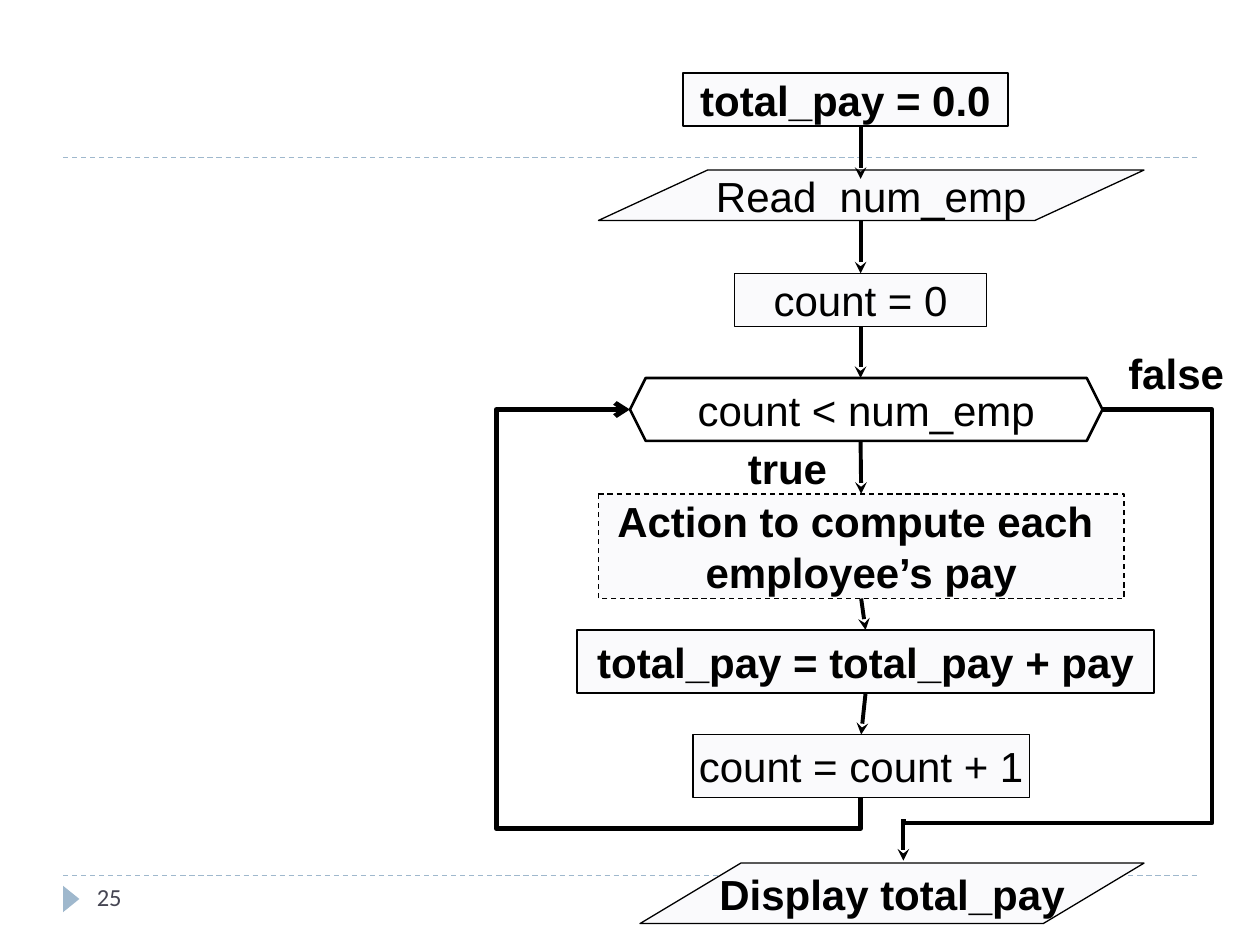
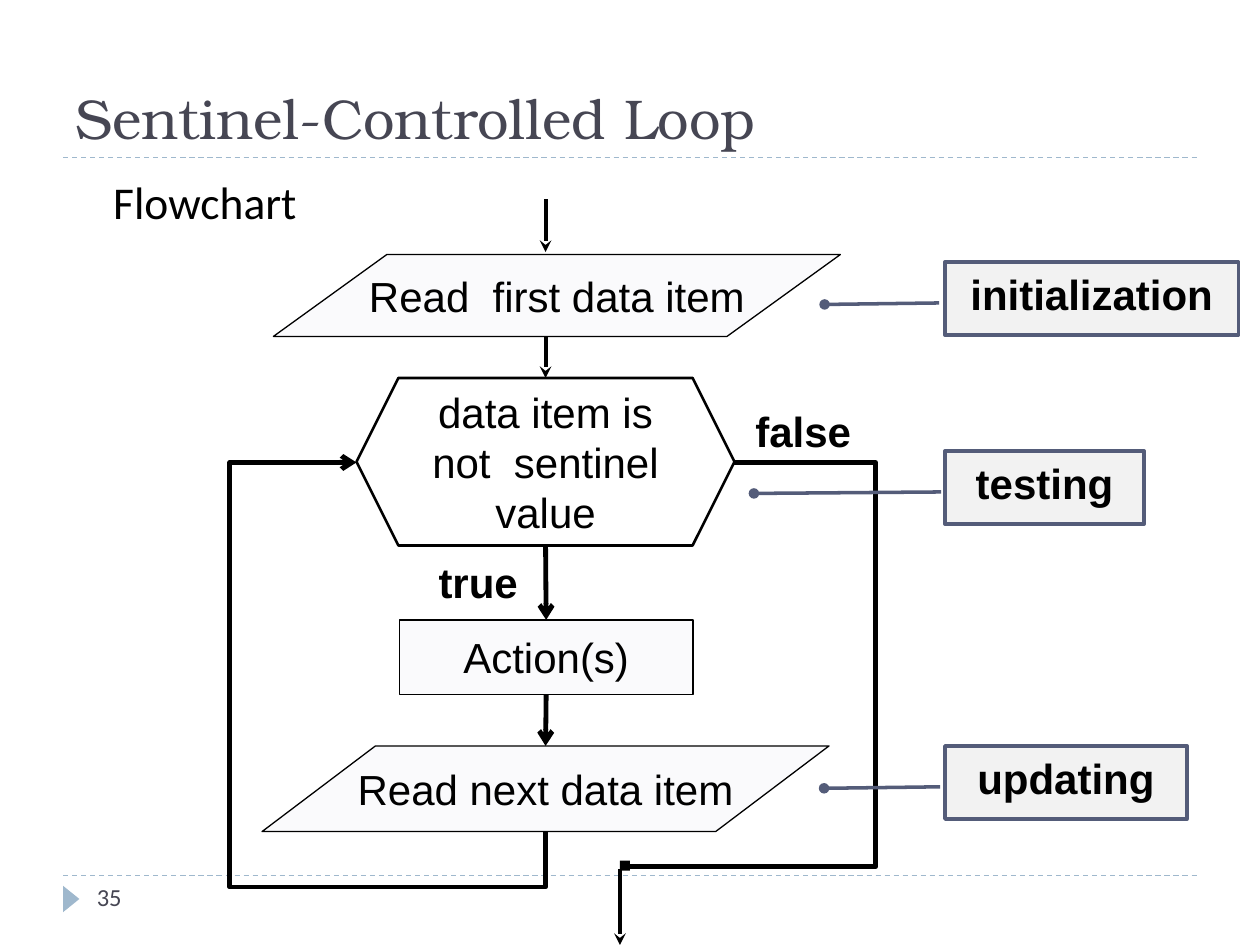
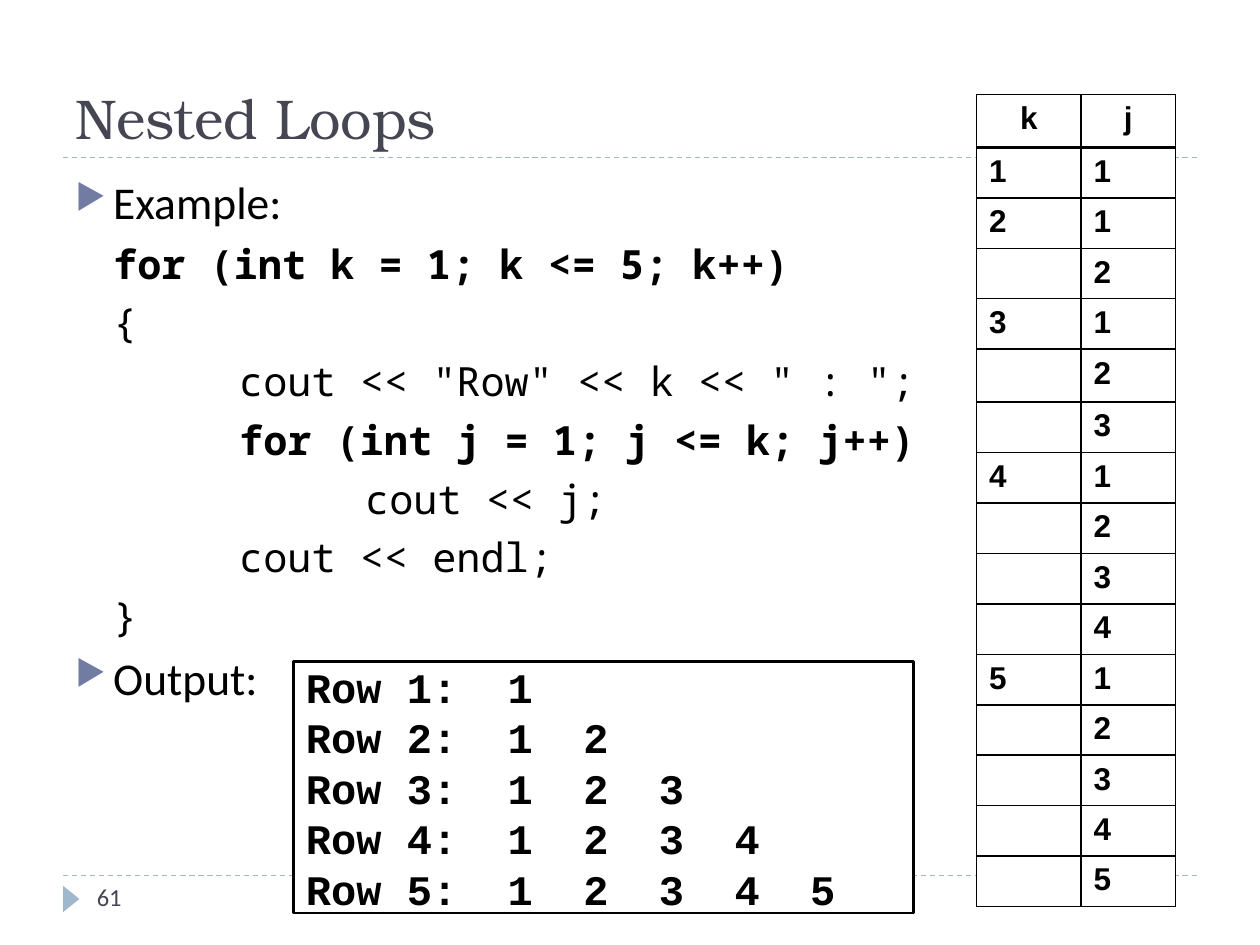
from lxml import etree
from pptx import Presentation
from pptx.dml.color import RGBColor
from pptx.enum.dml import MSO_LINE
from pptx.enum.shapes import MSO_CONNECTOR as CONN, MSO_SHAPE as SHAPE
from pptx.enum.text import MSO_ANCHOR as ANCHOR, PP_ALIGN as ALIGN
from pptx.oxml.ns import qn
from pptx.util import Inches, Pt

COLORS = {
    "ink": "000000", "title": "464653", "rule": "9FB8CD", "bullet": "727CA3",
    "box": "FAFAFC", "note": "F2F2F2", "note_line": "545C79", "white": "FFFFFF",
}
SANS, BODY, MONO = "Arial", "Calibri", "Noto Sans Mono"
TITLE_ONLY, BLANK = 5, 6


def rgb(name):
    return RGBColor.from_string(COLORS[name])


def add_run(p, text, size, font, color="ink", bold=False):
    r = p.add_run()
    r.text = text
    r.font.size = Pt(size)
    r.font.name = font
    r.font.bold = bold
    r.font.color.rgb = rgb(color)


def write_lines(tf, lines, size, font, bold=False, align=ALIGN.LEFT):
    for i, line in enumerate(lines):
        p = tf.add_paragraph() if i else tf.paragraphs[0]
        p.alignment = align
        add_run(p, line, size, font, bold=bold)


def set_line(line, color, width, dash=False):
    line.color.rgb = rgb(color)
    line.width = Pt(width)
    if dash:
        line.dash_style = MSO_LINE.DASH


def add_tail(sp, head):
    ln = sp.element.spPr.find(qn("a:ln"))
    etree.SubElement(ln, qn("a:tailEnd"), type=head)


def add_shape(s, kind, at, fill=None, line=None, width=0.75, dash=False):
    sp = s.shapes.add_shape(kind, *map(Inches, at))
    sp.shadow.inherit = False
    if fill:
        sp.fill.solid()
        sp.fill.fore_color.rgb = rgb(fill)
    else:
        sp.fill.background()
    if line:
        set_line(sp.line, line, width, dash)
    else:
        sp.line.fill.background()
    return sp


def add_step(s, at, *lines, kind=SHAPE.FLOWCHART_PROCESS, bold=False, dash=False):
    sp = add_shape(s, kind, at, "box", "ink", dash=dash)
    tf = sp.text_frame
    tf.word_wrap = False
    tf.vertical_anchor = ANCHOR.MIDDLE
    write_lines(tf, lines, 24, SANS, bold, ALIGN.CENTER)
    return sp


def add_data(s, at, text, bold=False):
    return add_step(s, at, text, kind=SHAPE.FLOWCHART_DATA, bold=bold)


def add_label(s, at, text):
    sp = add_step(s, at, text, bold=True)
    sp.fill.background()
    sp.line.fill.background()


def add_test(s, at, text):
    sp = add_shape(s, SHAPE.HEXAGON, at, line="ink", width=1.5)
    sp.text_frame.word_wrap = True
    sp.text_frame.vertical_anchor = ANCHOR.MIDDLE
    write_lines(sp.text_frame, [text], 24, SANS, align=ALIGN.CENTER)


def add_note(s, top, width, text, reach):
    sp = add_shape(s, SHAPE.LINE_CALLOUT_1, (7.5, top, width, 0.58),
                   "note", "note_line", 2)
    for i, value in enumerate((0.56, -0.02, 0.58, reach)):
        sp.adjustments[i] = value
    add_tail(sp, "oval")
    sp.text_frame.word_wrap = True
    sp.text_frame.vertical_anchor = ANCHOR.TOP
    write_lines(sp.text_frame, [text], 24, SANS, True, ALIGN.CENTER)


def add_line(s, kind, start, end, color="ink", width=2.25, dash=False, head=None):
    c = s.shapes.add_connector(kind, *map(Inches, (*start, *end)))
    set_line(c.line, color, width, dash)
    if head:
        add_tail(c, head)
    etree.SubElement(c.element.spPr, qn("a:effectLst"))
    return c


def add_arrow(s, start, end, head="stealth", width=2.25):
    points = [(0, 0) if hasattr(e, "shape_id") else e for e in (start, end)]
    c = add_line(s, CONN.STRAIGHT, *points, width=width, head=head)
    if hasattr(start, "shape_id"):
        c.begin_connect(start, 2)
    if hasattr(end, "shape_id"):
        c.end_connect(end, 0)


def add_elbow(s, start, end, adjusts, turned=False, head=None):
    w, h = abs(end[0] - start[0]), abs(end[1] - start[1])
    mid_x, mid_y = (start[0] + end[0]) / 2, (start[1] + end[1]) / 2
    if turned:
        w, h = h, w
    c = add_line(s, CONN.ELBOW, (mid_x + w / 2, mid_y - h / 2),
                 (mid_x - w / 2, mid_y + h / 2), width=2.75, head=head)
    if turned:
        c.element.spPr.xfrm.set("rot", str(90 * 60000))
    geom = c.element.spPr.find(qn("a:prstGeom"))
    geom.set("prst", f"bentConnector{len(adjusts) + 2}")
    guides = geom.find(qn("a:avLst"))
    for i, value in enumerate(adjusts, 1):
        etree.SubElement(guides, qn("a:gd"), name=f"adj{i}",
                         fmla=f"val {round(value * 100000)}")


def add_text_box(s, at):
    tf = s.shapes.add_textbox(*map(Inches, at)).text_frame
    tf.word_wrap = True
    return tf


def add_slide(prs, number, title=None):
    s = prs.slides.add_slide(prs.slide_layouts[TITLE_ONLY if title else BLANK])
    for y in (6.95, 1.25):
        add_line(s, CONN.STRAIGHT, (0.5, y), (9.5, y), "rule", 0.75, True)
    marker = add_shape(s, SHAPE.ISOSCELES_TRIANGLE, (0.46, 7.07, 0.21, 0.13), "rule")
    marker.rotation = 90
    page = add_text_box(s, (0.67, 6.95, 2.17, 0.4))
    add_run(page.paragraphs[0], str(number), 14, BODY, "title")
    if title:
        sp = s.shapes.title
        sp.left, sp.top, sp.width, sp.height = map(Inches, (0.5, 0.17, 9, 1.08))
        sp.text_frame.vertical_anchor = ANCHOR.BOTTOM
        p = sp.text_frame.paragraphs[0]
        p.alignment = ALIGN.LEFT
        add_run(p, title, 32, "TeX Gyre Bonum", "title")
    return s


def indent(p, left, bullet=False):
    pPr = p._p.get_or_add_pPr()
    pPr.set("marL", str(Inches(left)))
    pPr.set("indent", str(Inches(-0.3 if bullet else 0)))
    if bullet:
        clr = etree.SubElement(pPr, qn("a:buClr"))
        etree.SubElement(clr, qn("a:srgbClr"), val=COLORS["bullet"])
        etree.SubElement(pPr, qn("a:buSzPct"), val="76000")
        etree.SubElement(pPr, qn("a:buChar"), char="▶")


def add_body(s, items):
    tf = add_text_box(s, (0.5, 1.33, 9, 5.4))
    for i, (text, style, level) in enumerate(items):
        p = tf.add_paragraph() if i else tf.paragraphs[0]
        indent(p, 0.3 + level, style == "bullet")
        if i:
            p.space_before = Pt(6)
        if style in ("bullet", "plain"):
            add_run(p, text, 26, BODY)
        else:
            add_run(p, text, 23, MONO, bold=style == "loop")


def border_cell(cell, bottom):
    tcPr = cell._tc.get_or_add_tcPr()
    for side in "LRTB":
        width = bottom if side == "B" else 1
        ln = etree.SubElement(tcPr, qn(f"a:ln{side}"), w=str(Pt(width)))
        fill = etree.SubElement(ln, qn("a:solidFill"))
        etree.SubElement(fill, qn("a:srgbClr"), val=COLORS["ink"])


def add_trace_table(s, rows, heights):
    table = s.shapes.add_table(len(rows), 2, *map(Inches, (7.75, 0.75, 1.58, sum(heights)))).table
    table.first_row = table.horz_banding = False
    for col, width in zip(table.columns, (0.83, 0.75)):
        col.width = Inches(width)
    for i, (row, height) in enumerate(zip(rows, heights)):
        table.rows[i].height = Inches(height)
        for j, value in enumerate(row):
            cell = table.cell(i, j)
            border_cell(cell, 1 if i else 2)
            cell.fill.solid()
            cell.fill.fore_color.rgb = rgb("white")
            if value:
                write_lines(cell.text_frame, [value], 18, SANS, True,
                            ALIGN.LEFT if i else ALIGN.CENTER)


def build_payroll(prs):
    s = add_slide(prs, 25)
    x = 6.83
    add_step(s, (5.42, 0.58, 2.58, 0.42), "total_pay = 0.0", bold=True)
    add_data(s, (4.75, 1.35, 4.33, 0.4), "Read  num_emp")
    start = add_step(s, (5.83, 2.17, 2, 0.42), "count = 0")
    add_test(s, (5, 3, 3.75, 0.5), "count < num_emp")
    action = add_step(s, (4.75, 3.92, 4.17, 0.83), "Action to compute each ",
                      "employee’s pay", bold=True, dash=True)
    total = add_step(s, (4.58, 5, 4.58, 0.5), "total_pay = total_pay + pay", bold=True)
    count = add_step(s, (5.5, 5.83, 2.67, 0.5), "count = count + 1")
    add_data(s, (5.08, 6.85, 4, 0.48), "Display total_pay", bold=True)
    add_label(s, (5.25, 3.5, 2, 0.42), "true")
    add_label(s, (8.75, 2.75, 1.17, 0.42), "false")
    for a, b in (((x, 1), (x, 1.42)), ((x, 1.75), start), (start, (x, 3)),
                 ((x, 3.5), action), (action, total), (total, count),
                 ((7.17, 6.5), (7.17, 6.83))):
        add_arrow(s, a, b)
    add_elbow(s, (x, 6.33), (5, 3.25), (-0.08, 1.58), True, "arrow")
    add_elbow(s, (8.75, 3.25), (7.17, 6.5), (-0.55, 1.01))


def build_sentinel(prs):
    s = add_slide(prs, 35, "Sentinel-Controlled Loop")
    x = 4.33
    add_body(s, [("Flowchart", "plain", 0)])
    add_data(s, (2.17, 2.02, 4.5, 0.65), "Read  first data item")
    add_test(s, (2.83, 3, 3, 1.33), "data item is not  sentinel value")
    action = add_step(s, (3.17, 4.92, 2.33, 0.59), "Action(s)")
    add_data(s, (2.08, 5.92, 4.5, 0.68), "Read next data item")
    add_label(s, (5.75, 3.17, 1.25, 0.5), "false")
    add_label(s, (3.17, 4.33, 1.25, 0.58), "true")
    add_arrow(s, (x, 1.58), (x, 2))
    add_arrow(s, (x, 2.67), (x, 3))
    add_arrow(s, (x, 4.33), action, "arrow", 2.75)
    add_arrow(s, action, (x, 5.92), "arrow", 2.75)
    add_arrow(s, (4.92, 6.9), (4.92, 7.5))
    add_shape(s, SHAPE.RECTANGLE, (4.92, 6.83, 0.08, 0.08), "ink")
    add_elbow(s, (x, 6.6), (2.83, 3.67), (-0.15, 1.67), True, "arrow")
    add_elbow(s, (5.83, 3.67), (5, 6.88), (-1.35,))
    add_note(s, 2.08, 2.33, "initialization", -0.41)
    add_note(s, 3.58, 1.58, "testing", -0.96)
    add_note(s, 5.92, 1.92, "updating", -0.5)


def build_nested(prs):
    s = add_slide(prs, 61, "Nested Loops")
    add_body(s, [
        ("Example:", "bullet", 0),
        ("for (int k = 1; k <= 5; k++)", "loop", 0),
        ("{", "code", 0),
        ('cout << "Row" << k << " : ";', "code", 1),
        ("for (int j = 1; j <= k; j++)", "loop", 1),
        ("cout << j;", "code", 2),
        ("cout << endl;", "code", 1),
        ("}", "code", 0),
        ("Output:", "bullet", 0),
    ])
    output = add_shape(s, SHAPE.RECTANGLE, (2.33, 5.25, 4.92, 2), "white", "ink", 1.25)
    output.text_frame.word_wrap = True
    output.text_frame.vertical_anchor = ANCHOR.MIDDLE
    lines = [f"Row {k}:  " + "  ".join(str(j) for j in range(1, k + 1)) for k in range(1, 6)]
    write_lines(output.text_frame, lines, 24, "Courier New", True)
    rows = [("k", "j")] + [(str(k) if j == 1 else "", str(j))
                           for k in range(1, 6) for j in range(1, k + 1)]
    add_trace_table(s, rows, [0.42, 0.4] + [0.38] * 3 + [0.42] + [0.38] * 10)


def main():
    prs = Presentation()
    prs.slide_width, prs.slide_height = Inches(10), Inches(7.5)
    build_payroll(prs)
    build_sentinel(prs)
    build_nested(prs)
    prs.save("out.pptx")


if __name__ == "__main__":
    main()
